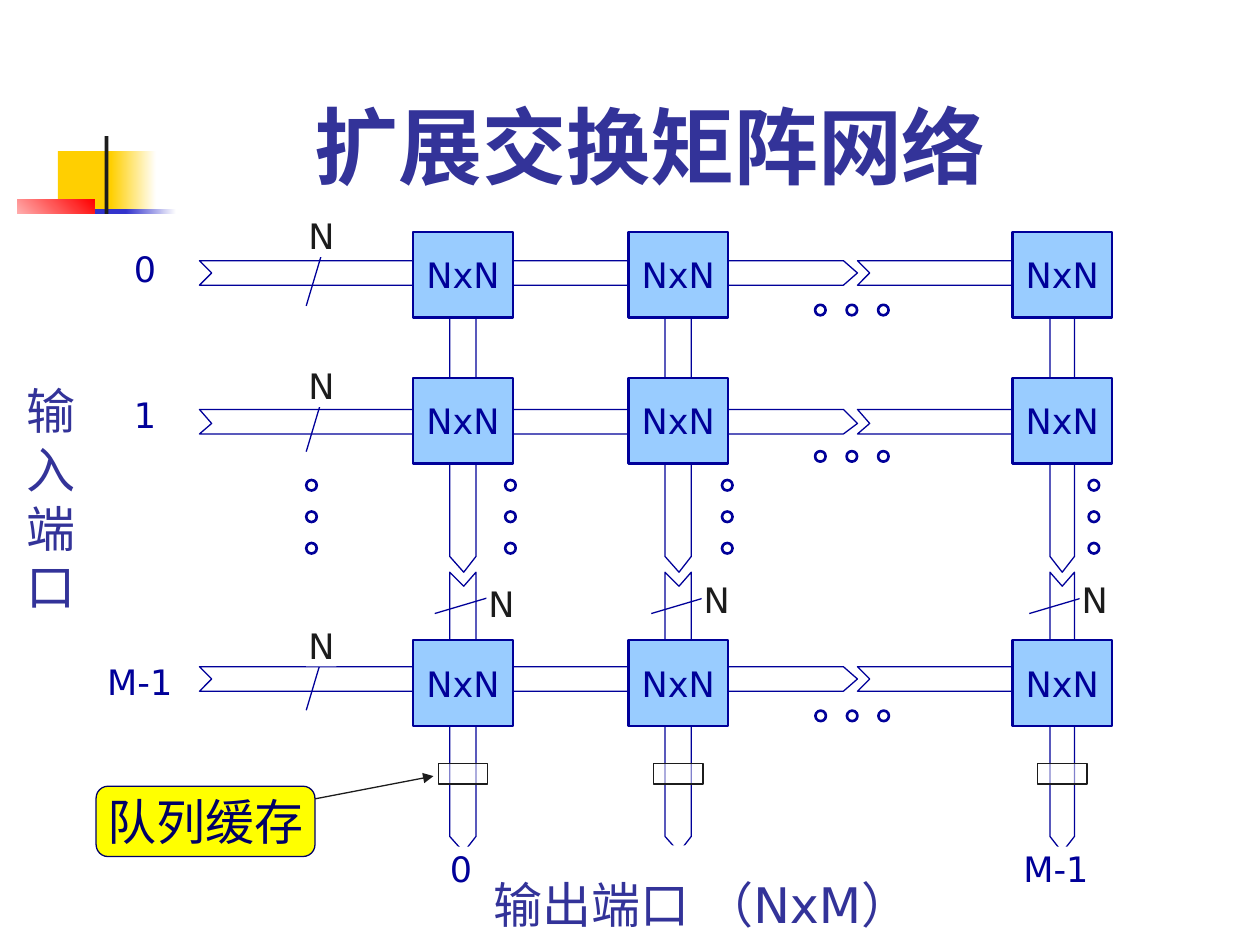
from lxml.etree import SubElement
from pptx import Presentation
from pptx.dml.color import RGBColor
from pptx.enum.shapes import MSO_CONNECTOR, MSO_SHAPE
from pptx.enum.text import MSO_ANCHOR, PP_ALIGN
from pptx.oxml.ns import qn
from pptx.util import Pt

C = {"navy": "000099", "indigo": "333399", "ink": "1C1C1C", "white": "FFFFFF",
     "switch": "99CCFF", "yellow": "FFFF00", "callout": "000066",
     "gold": "FFCF01", "blue": "3333CC", "red": "FF0000"}
SANS, CJK = "DejaVu Sans", "Noto Sans CJK JP"

# left, top, width, height, colour or (from, to, angle)
DECOR = [
    (33.1, 86.4, 34.6, 37.4, "gold"),
    (63.4, 86.4, 25.9, 37.4, ("gold", "white", 0)),
    (42.5, 119.5, 33.1, 37.4, "blue"),
    (72, 119.5, 28.8, 37.4, ("blue", "white", 0)),
    (10.1, 113.8, 43.9, 33.1, ("white", "red", 45)),
    (59.8, 77.8, 2.2, 82.8, "ink"),
]

COLS = [264.6, 387.6, 607]       # centres of the vertical lanes
ROWS = [156.1, 241.5, 388.1]     # centres of the horizontal lanes
SWITCH_TOPS = [132.5, 216, 365.8]
SWITCH_W, SWITCH_H = 57, 49
# start, shoulder, tip, notch depth
LANES_DOWN = [(166.3, 318.2, 326.8, 0), (326.8, 478.2, 486.8, 8.6)]
LANES_ACROSS = [(489.5, 580.3, 588.2, 7.6), (113.8, 481.7, 489.5, 7.6)]

ROW_SLASHES = [141.3, 224.6, 372.4]     # tops
COL_SLASHES = [248.4, 372.2, 588.2]     # lefts
DOT, DOT_GAP = 6, 18
DOT_COLUMNS = [(175, 274.3), (288.7, 274.3), (412.6, 274.3), (622.1, 274.3)]
DOT_ROWS = [(465.8, 174.2), (465.8, 257.8), (466, 406.1)]

# text, left, top, width, colour
LABELS = [
    ("N", 175, 122.4, 17.3, "ink"), ("N", 175, 208.1, 17.3, "ink"),
    ("N", 175, 356.4, 17.3, "ink"), ("N", 277.9, 332.6, 17.3, "ink"),
    ("N", 401, 330.5, 17.3, "ink"), ("N", 617, 330.5, 17.3, "ink"),
    ("0", 74.2, 141.1, 17.3, "navy"), ("1", 74.2, 224.6, 17.3, "navy"),
    ("M-1", 62.6, 377.3, 34.6, "navy"),
    ("0", 254.9, 483.8, 17.3, "navy"), ("M-1", 586.1, 483.8, 34.6, "navy"),
]
LABEL_H = 24.5
PORT_TITLES = [("输入端口", 15.1, 217.4, 26.6, 134.6),
               ("输出端口 （NxM）", 275, 483.1, 252, 67)]

prs = Presentation()
prs.slide_width, prs.slide_height = Pt(720), Pt(540)
s = prs.slides.add_slide(prs.slide_layouts[6])


def rgb(name):
    return RGBColor.from_string(C[name])


def paint(sp, fill, line=None, weight=0.75):
    sp.shadow.inherit = False
    if isinstance(fill, tuple):
        sp.fill.gradient()
        sp.fill.gradient_angle = fill[2]
        for stop, name in zip(sp.fill.gradient_stops, fill):
            stop.color.rgb = rgb(name)
    else:
        sp.fill.solid()
        sp.fill.fore_color.rgb = rgb(fill)
    if line:
        sp.line.color.rgb = rgb(line)
        sp.line.width = Pt(weight)
    else:
        sp.line.fill.background()


def block(x, y, w, h, fill, line=None, weight=0.75, kind=MSO_SHAPE.RECTANGLE):
    sp = s.shapes.add_shape(kind, Pt(x), Pt(y), Pt(w), Pt(h))
    paint(sp, fill, line, weight)
    return sp


def write(sp, text, size, color, font=SANS, bold=False, wrap=False,
          anchor=MSO_ANCHOR.MIDDLE):
    tf = sp.text_frame
    tf.margin_left = tf.margin_right = tf.margin_top = tf.margin_bottom = 0
    tf.word_wrap, tf.vertical_anchor = wrap, anchor
    p = tf.paragraphs[0]
    p.alignment = PP_ALIGN.CENTER
    r = p.add_run()
    r.text = text
    r.font.size, r.font.bold, r.font.name = Pt(size), bold, font
    r.font.color.rgb = rgb(color)
    SubElement(r.font._element, qn("a:ea")).set("typeface", font)


def lane(start, shoulder, tip, notch, centre, half, down=False):
    """Pointed band along one axis, with a notched tail when notch is set."""
    pts = [(start, centre - half), (shoulder, centre - half), (tip, centre),
           (shoulder, centre + half), (start, centre + half)]
    if notch:
        pts.append((start + notch, centre))
    if down:
        pts = [(y, x) for x, y in pts]
    fb = s.shapes.build_freeform(*pts[0], scale=float(Pt(1)))
    fb.add_line_segments(pts[1:], close=True)
    paint(fb.convert_to_shape(), "white", "navy")


def connect(x1, y1, x2, y2, color):
    cn = s.shapes.add_connector(MSO_CONNECTOR.STRAIGHT,
                                Pt(x1), Pt(y1), Pt(x2), Pt(y2))
    cn.line.color.rgb = rgb(color)
    cn.line.width = Pt(0.75)
    SubElement(cn._element.spPr, qn("a:effectLst"))
    return cn


for x, y, w, h, fill in DECOR:
    block(x, y, w, h, fill)
title = s.shapes.add_textbox(Pt(64.8), Pt(0), Pt(613.4), Pt(111.6))
write(title, "扩展交换矩阵网络", 48, "indigo", CJK, True, True, MSO_ANCHOR.BOTTOM)
block(0, 122.4, 717, 417.6, "white")

for cx in COLS:
    for part in LANES_DOWN:
        lane(*part, cx, 7.5, down=True)
for cy in ROWS:
    for part in LANES_ACROSS:
        lane(*part, cy, 7)

for y in ROW_SLASHES:
    connect(185, y, 175, y + 33.5, "navy")
for x in COL_SLASHES:
    connect(x, 350.6, x + 33.8, 340.6, "navy")

for y in SWITCH_TOPS:
    for cx in COLS:
        sp = block(cx - SWITCH_W / 2, y, SWITCH_W, SWITCH_H, "switch", "navy", 1.5)
        write(sp, "NxN", 20, "navy")

for text, x, y, w, color in LABELS:
    write(block(x, y, w, LABEL_H, "white"), text, 20, color)

for starts, dx, dy in ((DOT_COLUMNS, 0, DOT_GAP), (DOT_ROWS, DOT_GAP, 0)):
    for x, y in starts:
        for i in range(3):
            block(x + i * dx, y + i * dy, DOT, DOT, "white", "navy", 1.5,
                  MSO_SHAPE.OVAL)

for text, x, y, w, h in PORT_TITLES:
    write(block(x, y, w, h, "white"), text, 28, "indigo", wrap=True)

for cx in COLS:
    queue = block(cx - 14.2, 436.3, 28.4, 11.8, "white", "ink")
    color = queue._element.spPr.find(qn("a:solidFill"))[0]
    SubElement(color, qn("a:alpha")).set("val", "50000")

callout = block(54.9, 449.3, 125.1, 40.2, "yellow", "callout",
                kind=MSO_SHAPE.ROUNDED_RECTANGLE)
callout.adjustments[0] = 0.17
write(callout, "队列缓存", 28, "callout")
arrow = connect(180, 456.5, 247.7, 443.5, "ink")
SubElement(arrow.line._get_or_add_ln(), qn("a:tailEnd")).set("type", "triangle")

prs.save("out.pptx")
